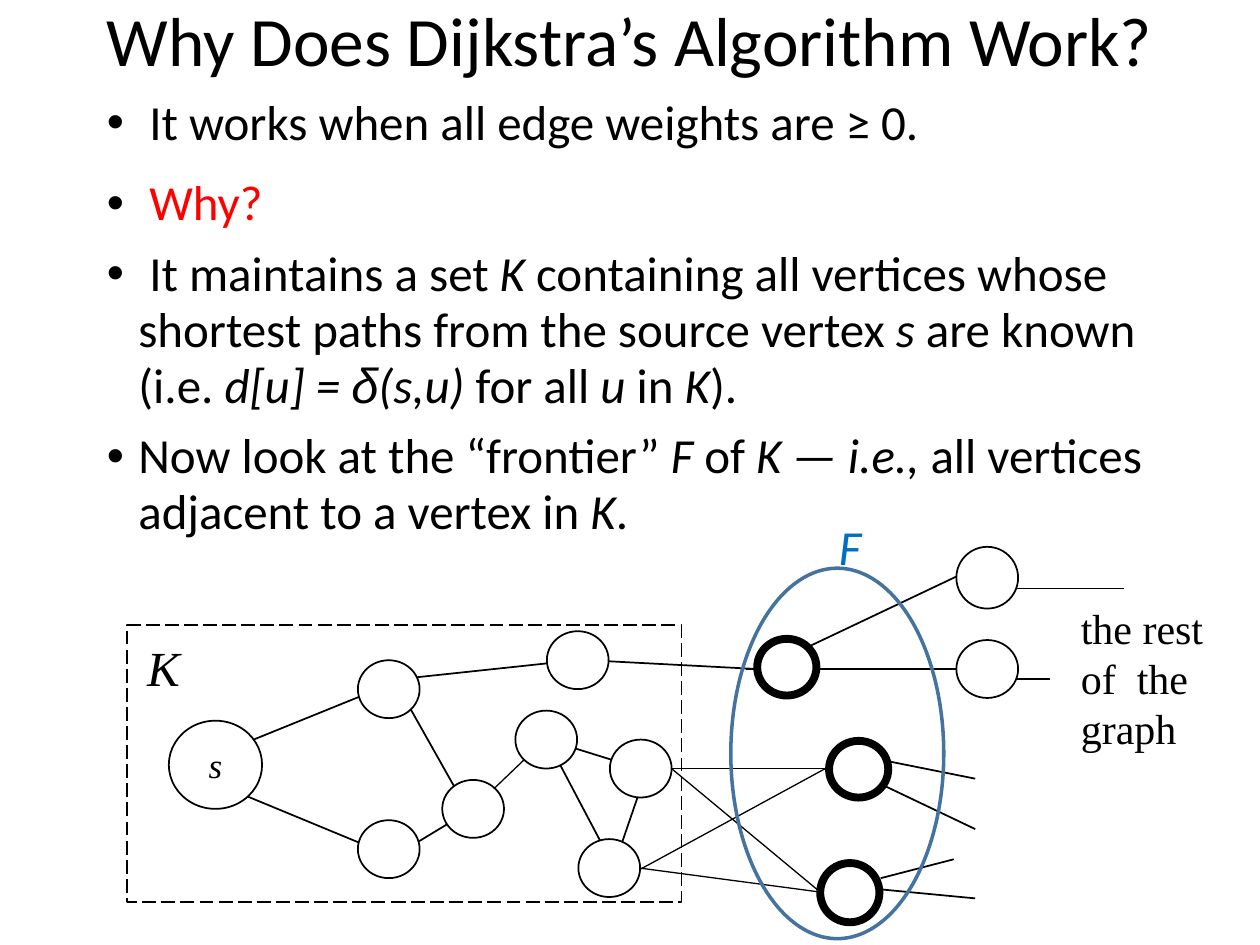
from dataclasses import dataclass
from typing import NamedTuple, Optional

from lxml.etree import SubElement
from pptx import Presentation
from pptx.dml.color import RGBColor
from pptx.enum.dml import MSO_LINE
from pptx.enum.shapes import MSO_CONNECTOR, MSO_SHAPE
from pptx.enum.text import MSO_ANCHOR, MSO_AUTO_SIZE, PP_ALIGN
from pptx.oxml.ns import qn
from pptx.util import Inches, Pt


@dataclass(frozen=True)
class Theme:
    ink: str = "000000"
    paper: str = "FFFFFF"
    question: str = "FF0000"
    frontier_label: str = "0070C0"
    frontier_ring: str = "43739E"
    sans: str = "Calibri"
    serif: str = "Times New Roman"
    symbol: str = "Arial"
    title: float = 39.6
    body: float = 28
    rest: float = 24
    source: float = 20
    hairline: float = 0.75
    thin: float = 1
    ring: float = 2
    bold: float = 4.5


THEME = Theme()


class Span(NamedTuple):
    text: str
    italic: bool = False
    color: str = THEME.ink
    font: str = THEME.sans


class Point(NamedTuple):
    x: float
    y: float


class Box(NamedTuple):
    left: float
    top: float
    width: float
    height: float


class Edge(NamedTuple):
    start: Point
    end: Point


@dataclass(frozen=True)
class Bullet:
    spans: tuple
    before: float


@dataclass(frozen=True)
class NodeGroup:
    width: float
    height: float
    weight: float
    corners: tuple


def apply_format(target, values: dict) -> None:
    for name, value in values.items():
        setattr(target, name, value)


def write_span(paragraph, span: Span, size: float) -> None:
    run = paragraph.add_run()
    run.text = span.text
    apply_format(run.font, {"size": Pt(size), "name": span.font, "italic": span.italic})
    run.font.color.rgb = RGBColor.from_string(span.color)


def add_label(slide, box: Box, lines: tuple, size: float, **frame_format):
    frame = slide.shapes.add_textbox(*map(Inches, box)).text_frame
    apply_format(frame, {"word_wrap": False, **frame_format})
    for index, span in enumerate(lines):
        paragraph = frame.add_paragraph() if index else frame.paragraphs[0]
        write_span(paragraph, span, size)
    return frame


def add_bullets(slide, box: Box, bullets: tuple) -> None:
    frame = slide.shapes.add_textbox(*map(Inches, box)).text_frame
    frame.word_wrap = True
    for index, bullet in enumerate(bullets):
        paragraph = frame.add_paragraph() if index else frame.paragraphs[0]
        apply_format(paragraph, {"line_spacing": 0.95, "space_before": Pt(bullet.before)})
        properties = paragraph._p.get_or_add_pPr()
        properties.set("marL", str(Inches(0.25)))
        properties.set("indent", str(Inches(-0.25)))
        SubElement(properties, qn("a:buFont")).set("typeface", THEME.symbol)
        SubElement(properties, qn("a:buChar")).set("char", "•")
        for span in bullet.spans:
            if span.text == "\n":
                paragraph.add_line_break()
            else:
                write_span(paragraph, span, THEME.body)


def add_outline(slide, kind, box: Box, weight: float, color: str = THEME.ink,
                fill: Optional[str] = None):
    outline = slide.shapes.add_shape(kind, *map(Inches, box))
    outline.shadow.inherit = False
    if fill:
        outline.fill.solid()
        outline.fill.fore_color.rgb = RGBColor.from_string(fill)
    else:
        outline.fill.background()
    outline.line.width = Pt(weight)
    outline.line.color.rgb = RGBColor.from_string(color)
    return outline


def add_edges(slide, edges: tuple, weight: float) -> None:
    for edge in edges:
        link = slide.shapes.add_connector(
            MSO_CONNECTOR.STRAIGHT, *map(Inches, (*edge.start, *edge.end)))
        link.line.width = Pt(weight)
        link.line.color.rgb = RGBColor.from_string(THEME.ink)
        SubElement(link._element.spPr, qn("a:effectLst"))


def edges_from(*coordinates: tuple) -> tuple:
    return tuple(Edge(Point(x1, y1), Point(x2, y2)) for x1, y1, x2, y2 in coordinates)


BULLETS = (
    Bullet((Span(" It works when all edge weights are ≥ 0."),), 0),
    Bullet((Span(" "), Span("Why?", color=THEME.question)), 14),
    Bullet((
        Span(" It maintains a set "), Span("K ", True),
        Span("containing all vertices whose shortest paths from the source vertex "),
        Span("s ", True), Span("are known "), Span("\n"), Span("(i.e. "),
        Span("d[u] = ", True), Span("δ", True, font=THEME.symbol), Span("(s,u)", True),
        Span(" for all "), Span("u", True), Span(" in "), Span("K", True), Span(")."),
    ), 8.4),
    Bullet((
        Span("Now look at the “frontier” "), Span("F ", True), Span("of "),
        Span("K — i.e., ", True), Span("all vertices adjacent to a vertex in "),
        Span("K", True), Span("."),
    ), 8.4),
)

GRAPH_EDGES = edges_from(
    (6.99, 6.97, 7.57, 6.82), (6.9, 7.05, 7.74, 7.13), (8, 4.67, 8.92, 4.67),
    (6, 5.33, 7.75, 4.5), (7.92, 5.39, 8.33, 5.39), (6.9, 6.18, 7.74, 6.58),
    (6.99, 6.03, 7.74, 6.18), (1.84, 5.94, 3, 5.47), (4.67, 5.24, 6.01, 5.31),
    (3.17, 5.39, 4.67, 5.23), (5.92, 5.31, 7.83, 5.31), (5.08, 6.27, 4.84, 6.97),
    (4.34, 5.87, 5.08, 6.1), (4.34, 5.87, 4.92, 6.97), (3.09, 6.82, 3.75, 6.42),
    (1.84, 6.27, 3.17, 6.82), (3.17, 5.47, 3.75, 6.5),
)

CROSSING_EDGES = edges_from(
    (3.92, 6.26, 4.16, 6.03), (5.33, 6.1, 6.55, 6.1), (5.33, 6.1, 6.51, 7.08),
    (5.08, 6.9, 6.55, 6.1), (5.08, 6.89, 6.51, 7.08),
)

NODE_GROUPS = (
    NodeGroup(0.49, 0.49, THEME.thin, (Point(7.59, 4.34),)),
    NodeGroup(0.49, 0.46, THEME.thin, (
        Point(2.84, 5.24), Point(4.34, 5.01), Point(4.09, 5.64), Point(2.84, 6.51),
        Point(7.59, 5.08), Point(3.51, 6.19), Point(4.84, 5.87), Point(4.59, 6.66))),
    NodeGroup(0.47, 0.47, THEME.bold, (Point(6.51, 6.85),)),
    NodeGroup(0.47, 0.45, THEME.bold, (Point(6.58, 5.88), Point(6.01, 5.07))),
)

deck = Presentation()
apply_format(deck, {"slide_width": Inches(10), "slide_height": Inches(7.5)})
slide = deck.slides.add_slide(deck.slide_layouts[6])

known_set = add_outline(slide, MSO_SHAPE.RECTANGLE, Box(1.01, 4.96, 4.4, 2.2), THEME.thin)
known_set.line.dash_style = MSO_LINE.LONG_DASH

title = add_label(slide, Box(0.75, 0, 9.25, 1.01),
                  (Span("Why Does Dijkstra’s Algorithm Work?"),), THEME.title, word_wrap=True)
title.paragraphs[0].line_spacing = 0.9
add_bullets(slide, Box(0.75, 0.71, 8.5, 4.17), BULLETS)

add_edges(slide, GRAPH_EDGES, THEME.thin)
source = add_outline(slide, MSO_SHAPE.OVAL, Box(1.34, 5.72, 0.74, 0.7), THEME.thin,
                     fill=THEME.paper)
apply_format(source.text_frame, {"word_wrap": False, "vertical_anchor": MSO_ANCHOR.MIDDLE})
source.text_frame.paragraphs[0].alignment = PP_ALIGN.CENTER
write_span(source.text_frame.paragraphs[0], Span("s", True, font=THEME.serif), THEME.source)

for group in NODE_GROUPS:
    for corner in group.corners:
        add_outline(slide, MSO_SHAPE.OVAL, Box(*corner, group.width, group.height),
                    group.weight, fill=THEME.paper)

add_edges(slide, CROSSING_EDGES, THEME.hairline)
add_outline(slide, MSO_SHAPE.OVAL, Box(5.8, 4.51, 1.69, 2.94), THEME.ring, THEME.frontier_ring)

grow = {"auto_size": MSO_AUTO_SIZE.SHAPE_TO_FIT_TEXT}
rest_lines = tuple(Span(line, font=THEME.serif) for line in ("the rest", "of  the ", "graph"))
add_label(slide, Box(8.48, 4.73, 1.17, 1.3), rest_lines, THEME.rest, **grow)
add_label(slide, Box(1.07, 5.01, 0.46, 0.57), (Span("K", True, font=THEME.serif),),
          THEME.body, **grow)
add_label(slide, Box(6.56, 4.05, 0.38, 0.57), (Span("F", True, THEME.frontier_label),),
          THEME.body, **grow)

deck.save("out.pptx")
